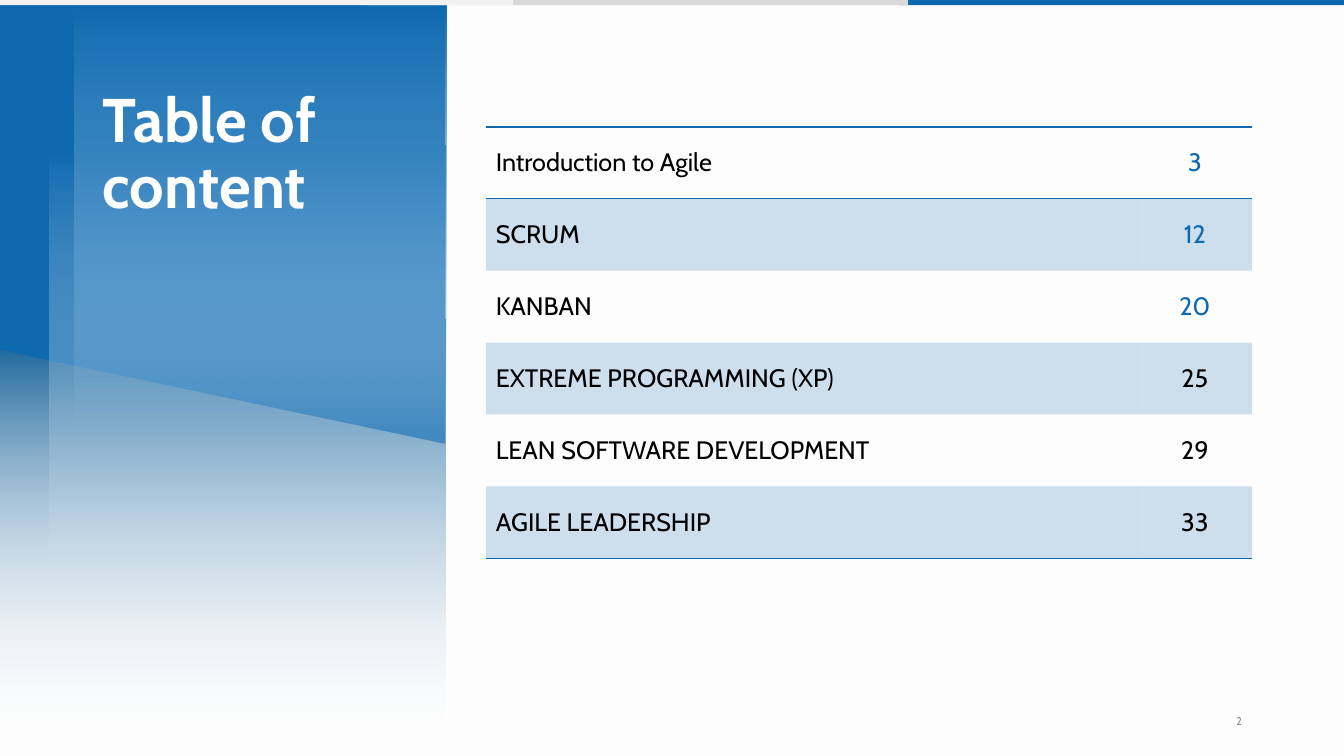
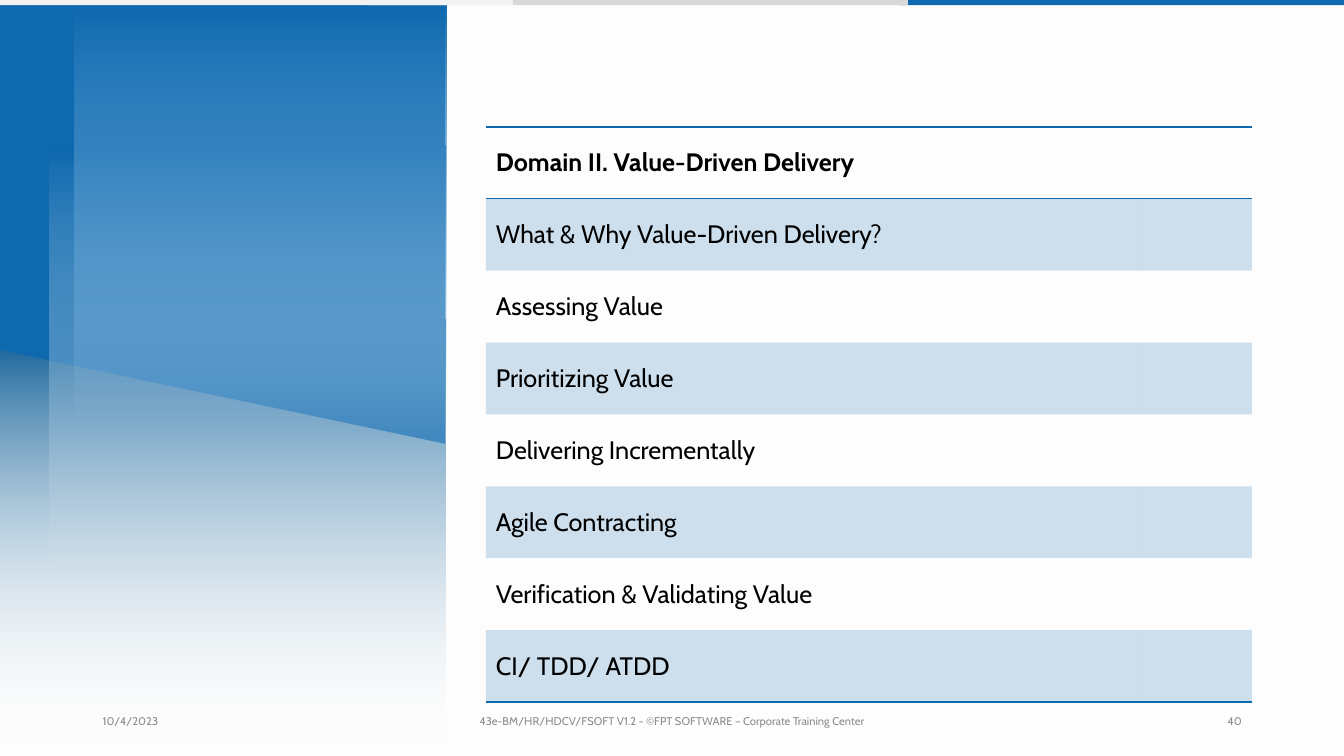
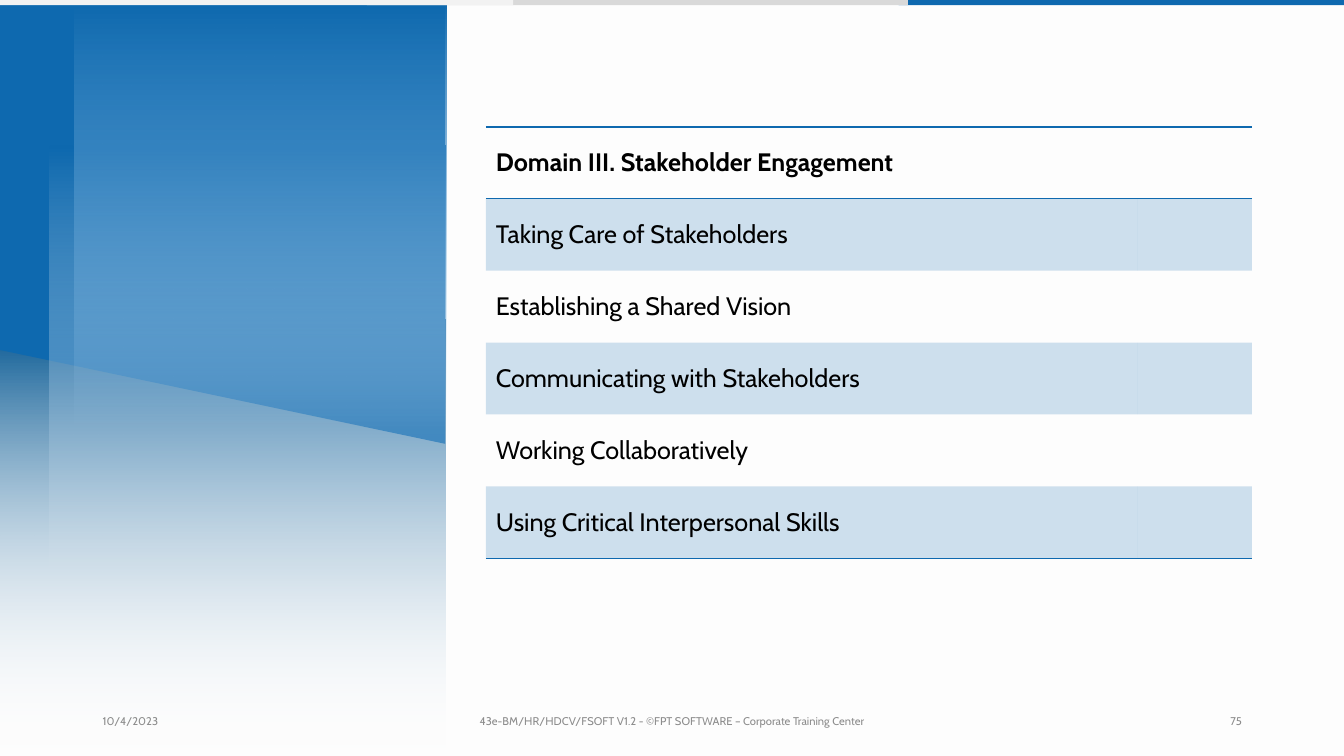
from lxml.etree import SubElement as Sub
from pptx import Presentation
from pptx.dml.color import RGBColor
from pptx.enum.shapes import MSO_SHAPE as Kind
from pptx.enum.text import MSO_ANCHOR as Anchor, PP_ALIGN as Align
from pptx.oxml import parse_xml
from pptx.oxml.ns import nsdecls, qn
from pptx.util import Pt

BLUE, BLACK, WHITE, GREY = "0E69AF", "000000", "FFFFFF", "8C8C8C"
PLAIN = "{2D5ABB26-0587-4C30-8999-92F81FD0307C}"
ROW = 51.36
rgb = RGBColor.from_string


def write(frame, text, size, hue, bold=False, align=Align.LEFT):
    para = frame.paragraphs[0]
    para.alignment = align
    run = para.add_run()
    run.text = text
    font = run.font
    font.name, font.size, font.bold = "Cabin", Pt(size), bold
    font.color.rgb = rgb(hue)


def fade(node, share):
    tone = node.findall(".//" + qn("a:srgbClr"))[-1]
    Sub(tone, qn("a:alpha")).set("val", str(share * 1000))


deck = Presentation()
deck.slide_width, deck.slide_height = Pt(960), Pt(540)
ground = deck.slide_master.background.fill
ground.solid()
ground.fore_color.rgb = rgb("FDFDFD")

blank = deck.slide_layouts[6]
for holder in list(blank.placeholders):
    holder.element.getparent().remove(holder.element)
pages = [deck.slides.add_slide(blank) for _ in range(3)]

art = pages[0].shapes
panes = [
    (0, 228, 318.24, 308.88, "005490", WHITE),
    (35.64, 104, 282.24, 308.88, BLUE, WHITE),
    (53.28, 0, 265.68, 308.88, BLUE, "BADEFA"),
]
for spot, (left, top, wide, high, start, end) in enumerate(panes):
    pane = art.add_shape(Kind.RECTANGLE, Pt(left), Pt(top), Pt(wide), Pt(high))
    pane.fill.gradient()
    pane.fill.gradient_angle = 270
    for stop, hue in zip(pane.fill.gradient_stops, (start, end)):
        stop.color.rgb = rgb(hue)
    fade(pane.element.spPr, 0)
    if spot == 0:
        pen = art.build_freeform(0, 0, scale=Pt(1))
        pen.add_line_segments([(318.24, 0), (318.24, 316.8), (0, 249.84)], close=True)
        wedge = pen.convert_to_shape()
        wedge.fill.solid()
        wedge.fill.fore_color.rgb = rgb(BLUE)

for left, wide, hue in [(642, 318, BLUE), (262, 386.6, "D9D9D9"), (0, 366.5, "F2F2F2")]:
    band = art.add_shape(Kind.RECTANGLE, Pt(left), 0, Pt(wide), Pt(3.6))
    band.fill.solid()
    band.fill.fore_color.rgb = rgb(hue)

for shape in list(art):
    shape.shadow.inherit = False
    shape.line.fill.background()
    blank.shapes.element.append(shape.element)

date = "10/4/2023"
mark = "43e-BM/HR/HDCV/FSOFT V1.2 - ©FPT SOFTWARE – Corporate Training Center"
topics = [
    ("", "", "2", [
        ("Introduction to Agile", "3"),
        ("SCRUM", "12"),
        ("KANBAN", "20"),
        ("EXTREME PROGRAMMING (XP)", "25"),
        ("LEAN SOFTWARE DEVELOPMENT", "29"),
        ("AGILE LEADERSHIP", "33"),
    ]),
    (date, mark, "40", [
        ("Domain II. Value-Driven Delivery", ""),
        ("What & Why Value-Driven Delivery?", ""),
        ("Assessing Value", ""),
        ("Prioritizing Value", ""),
        ("Delivering Incrementally", ""),
        ("Agile Contracting", ""),
        ("Verification & Validating Value", ""),
        ("CI/ TDD/ ATDD", ""),
    ]),
    (date, mark, "75", [
        ("Domain III. Stakeholder Engagement", ""),
        ("Taking Care of Stakeholders", ""),
        ("Establishing a Shared Vision", ""),
        ("Communicating with Stakeholders", ""),
        ("Working Collaboratively", ""),
        ("Using Critical Interpersonal Skills", ""),
    ]),
]

title = pages[0].shapes.add_textbox(Pt(66.24), Pt(36), Pt(252), Pt(126)).text_frame
title.word_wrap = True
title.vertical_anchor = Anchor.BOTTOM
title.paragraphs[0].line_spacing = 0.9
write(title, "Table of content", 44, WHITE, True)

for page, (day, note, number, rows) in zip(pages, topics):
    count = len(rows)
    frame = page.shapes.add_table(count, 2, Pt(347), Pt(90.72), Pt(547.2), Pt(ROW * count))
    table = frame.table
    table.first_row = table.horz_banding = False
    frame.element.find(".//" + qn("a:tableStyleId")).text = PLAIN
    table.columns[0].width, table.columns[1].width = Pt(465.84), Pt(81.36)

    for y, row in enumerate(rows):
        table.rows[y].height = Pt(ROW)
        sides = {0: ["lnT", "lnB"], count - 1: ["lnB"]}.get(y, [])
        for x, text in enumerate(row):
            cell = table.cell(y, x)
            cell.vertical_anchor = Anchor.MIDDLE
            if text:
                hue = BLUE if x == 1 and y < 3 else BLACK
                bold = y == 0 and text.startswith("Domain")
                write(cell.text_frame, text, 18, hue, bold, Align.CENTER if x else Align.LEFT)
            if y % 2:
                cell.fill.solid()
                cell.fill.fore_color.rgb = rgb(BLUE)
                fade(cell.fill._xPr, 20)
            else:
                cell.fill.background()
            for rank, side in enumerate(sides):
                edge = parse_xml(
                    f'<a:{side} {nsdecls("a")} w="12700"><a:solidFill>'
                    f'<a:srgbClr val="{BLUE}"/></a:solidFill></a:{side}>'
                )
                cell.fill._xPr.insert(rank, edge)

    feet = [
        (66.24, 216, day, Align.LEFT),
        (318.24, 324, note, Align.CENTER),
        (678.24, 216, number, Align.RIGHT),
    ]
    for left, wide, text, align in feet:
        if text:
            foot = page.shapes.add_textbox(Pt(left), Pt(500.4), Pt(wide), Pt(28.8)).text_frame
            foot.word_wrap = True
            foot.vertical_anchor = Anchor.MIDDLE
            write(foot, text, 8, GREY, align=align)

deck.save("out.pptx")
